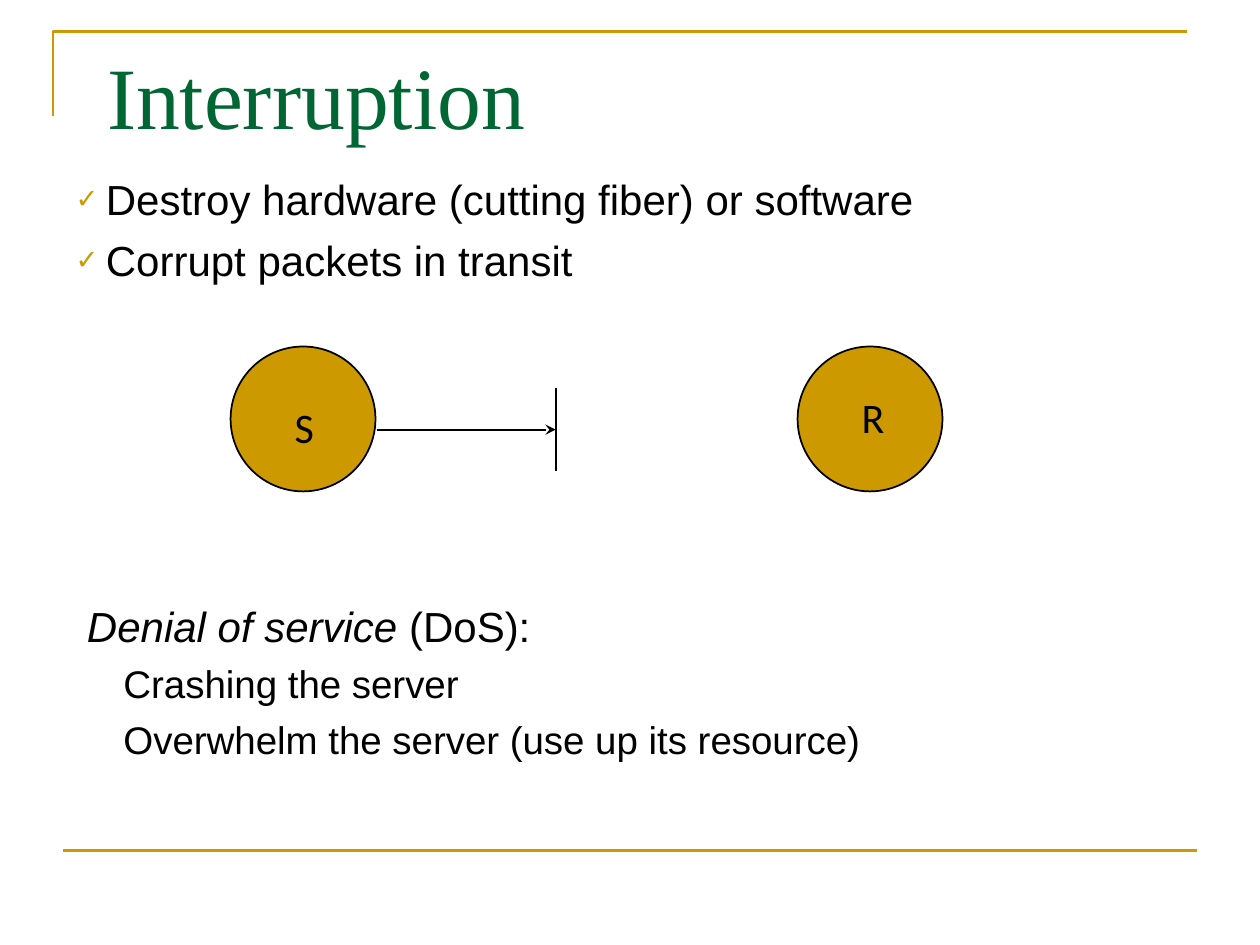
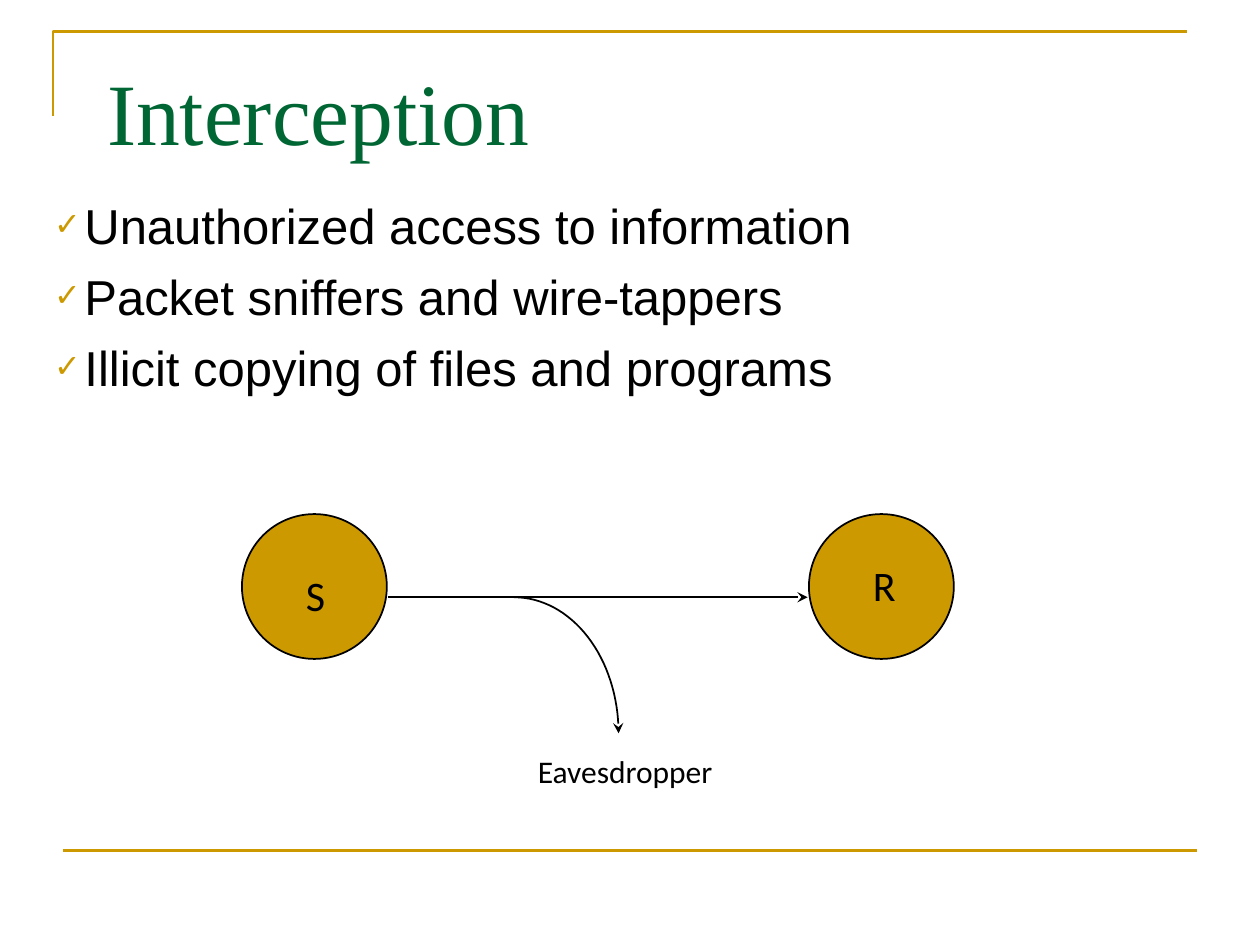
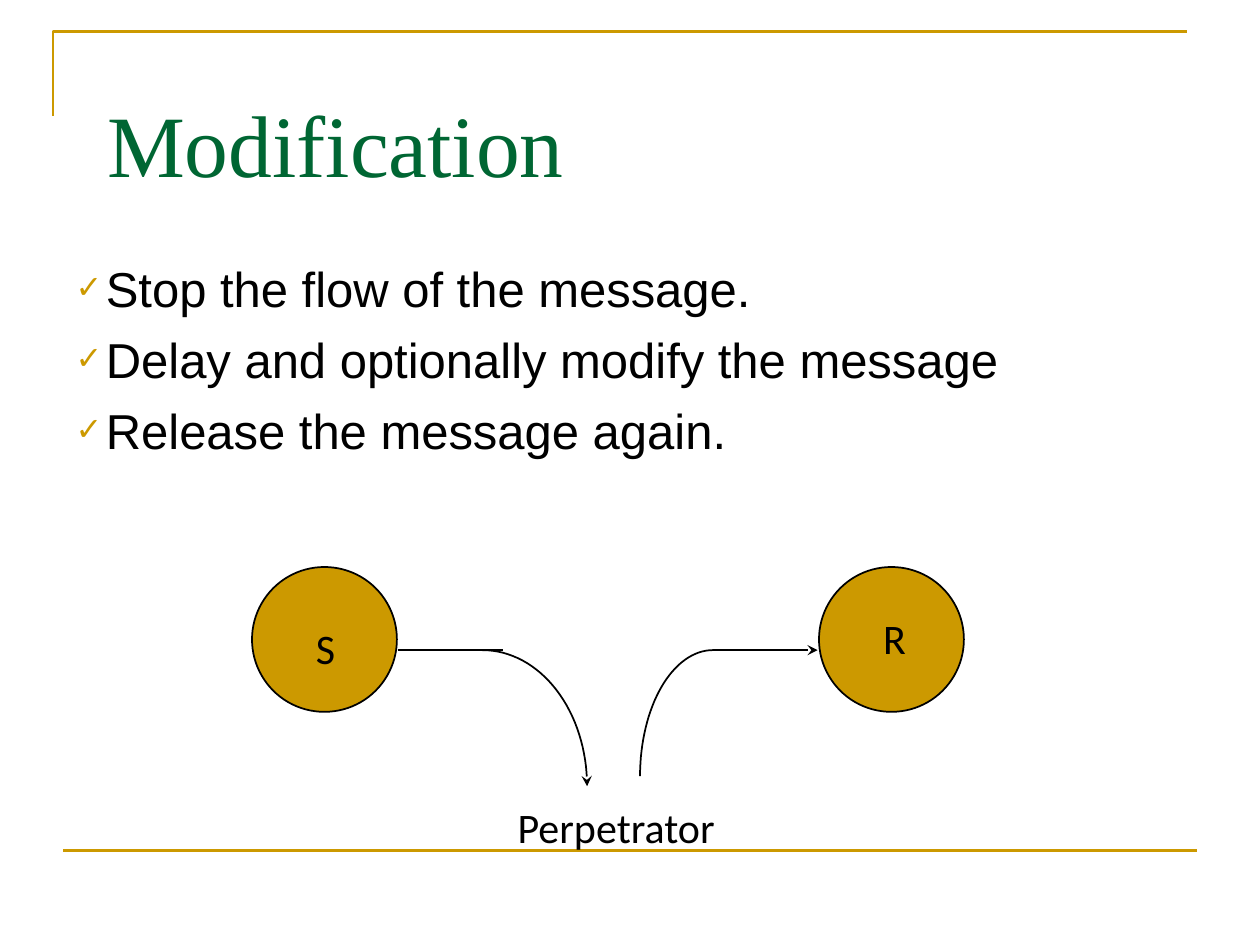
import math
from dataclasses import dataclass
from lxml import etree
from pptx import Presentation
from pptx import util as u
from pptx.dml import color
from pptx.enum import shapes, text
from pptx.oxml import ns


@dataclass(frozen=True)
class Theme:
    gold: str = "CC9900"
    green: str = "006633"
    black: str = "000000"
    title_font: str = "Times New Roman"
    body_font: str = "Arial"
    label_font: str = "Calibri"
    title_size: float = 50
    large: float = 28
    medium: float = 24
    small: float = 22
    caption: float = 18
    frame_weight: float = 1.5
    diagram_weight: float = 1
    space_ratio: float = 0.25
    check_indent: float = 0.24


THEME = Theme()
CIRCLE = 1.15
RECEIVER_X = 4.5
FLOW_Y = 0.66
FLOW_START = 1.16
FLOW_END = 4.49


def rgb(value):
    return color.RGBColor.from_string(value)


def inches(*values):
    return [u.Inches(value) for value in values]


def apply(target, formats):
    for name, value in formats.items():
        setattr(target, name, value)


def style_font(font, family, size, ink, italic=False):
    apply(font, dict(name=family, size=u.Pt(size), italic=italic, bold=False))
    font.color.rgb = rgb(ink)


def style_line(item, ink=THEME.black, weight=THEME.diagram_weight, arrow=False):
    item.line.color.rgb = rgb(ink)
    item.line.width = u.Pt(weight)
    if arrow:
        etree.SubElement(item.get_or_add_ln(), ns.qn("a:tailEnd"), type="stealth")


def add_line(slide, start, end, **style):
    line = slide.shapes.add_connector(
        shapes.MSO_CONNECTOR.STRAIGHT, *inches(*start, *end))
    style_line(line, **style)
    etree.SubElement(line.element.spPr, ns.qn("a:effectLst"))
    return line


def add_path(slide, points, **style):
    start, *rest = [inches(*point) for point in points]
    builder = slide.shapes.build_freeform(*start)
    builder.add_line_segments(rest, close=False)
    path = builder.convert_to_shape()
    path.fill.background()
    path.shadow.inherit = False
    style_line(path, **style)
    return path


def add_quarter_curve(slide, center, radii, start_angle, steps=32, **style):
    angles = [math.radians(start_angle + 90 * step / steps) for step in range(steps + 1)]
    points = [(center[0] + radii[0] * math.cos(angle),
               center[1] + radii[1] * math.sin(angle)) for angle in angles]
    return add_path(slide, points, **style)


def add_frame(deck, slide):
    frame = dict(ink=THEME.gold, weight=THEME.frame_weight)
    corner = add_path(slide, [(0.42, 0.92), (0.42, 0.25), (9.42, 0.25)], **frame)
    footer_rule = add_line(slide, (0.5, 6.75), (9.5, 6.75), **frame)
    for part in (footer_rule, corner):
        deck.slide_master.shapes.element.insert(2, part.element)


def place(holder, box, anchor):
    apply(holder, dict(zip(("left", "top", "width", "height"), inches(*box))))
    apply(holder.text_frame, dict(
        word_wrap=True, auto_size=text.MSO_AUTO_SIZE.NONE, vertical_anchor=anchor))


def add_title(slide, heading, box):
    title = slide.shapes.title
    place(title, box, text.MSO_ANCHOR.MIDDLE)
    paragraph = title.text_frame.paragraphs[0]
    paragraph.alignment = text.PP_ALIGN.LEFT
    run = paragraph.add_run()
    run.text = heading
    style_font(run.font, THEME.title_font, THEME.title_size, THEME.green)


def set_bullet(paragraph, check, indent):
    props = paragraph._p.get_or_add_pPr()
    props.set("marL", str(u.Inches(indent)))
    props.set("indent", str(-u.Inches(indent) if check else 0))
    if not check:
        etree.SubElement(props, ns.qn("a:buNone"))
        return
    ink = etree.SubElement(props, ns.qn("a:buClr"))
    etree.SubElement(ink, ns.qn("a:srgbClr"), val=THEME.gold)
    etree.SubElement(props, ns.qn("a:buSzPct"), val="65000")
    etree.SubElement(props, ns.qn("a:buChar"), char="✓")


def add_item(body, first, runs, size, check=True, indent=THEME.check_indent, gap=None):
    frame = body.text_frame
    paragraph = frame.paragraphs[0] if first else frame.add_paragraph()
    set_bullet(paragraph, check, indent)
    space = size * THEME.space_ratio if gap is None else gap
    paragraph.space_before = u.Pt(0 if first else space)
    for wording, italic in runs:
        run = paragraph.add_run()
        run.text = wording
        style_font(run.font, THEME.body_font, size, THEME.black, italic)


def add_points(slide, box, points, size):
    body = slide.placeholders[1]
    place(body, box, text.MSO_ANCHOR.TOP)
    for index, point in enumerate(points):
        add_item(body, index == 0, [(point, False)], size)
    return body


def add_label(slide, wording, box, size=THEME.medium):
    label = slide.shapes.add_textbox(*inches(*box))
    apply(label.text_frame, dict(
        word_wrap=False, auto_size=text.MSO_AUTO_SIZE.SHAPE_TO_FIT_TEXT))
    run = label.text_frame.paragraphs[0].add_run()
    run.text = wording
    style_font(run.font, THEME.label_font, size, THEME.black)


def add_parties(slide, left, top):
    for offset in (0, RECEIVER_X):
        party = slide.shapes.add_shape(
            shapes.MSO_SHAPE.OVAL, *inches(left + offset, top, CIRCLE, CIRCLE))
        party.fill.solid()
        party.fill.fore_color.rgb = rgb(THEME.gold)
        party.shadow.inherit = False
        style_line(party)
    add_label(slide, "S", (left + 0.41, top + 0.39, 0.36, 0.5))
    add_label(slide, "R", (left + 4.91, top + 0.31, 0.38, 0.5))


def add_flow(slide, left, top, start, end, arrow=True):
    y = top + FLOW_Y
    add_line(slide, (left + start, y), (left + end, y), arrow=arrow)


def add_diversion(slide, left, top, start):
    add_quarter_curve(slide, (left + start, top + FLOW_Y + 1.08), (0.83, 1.08),
                      270, arrow=True)


def add_blocked_flow(slide, left, top):
    barrier = 2.58
    add_parties(slide, left, top)
    add_flow(slide, left, top, FLOW_START, barrier)
    add_line(slide, (left + barrier, top + 0.33), (left + barrier, top + 0.99))


def add_tapped_flow(slide, left, top):
    add_parties(slide, left, top)
    add_flow(slide, left, top, FLOW_START, FLOW_END)
    add_diversion(slide, left, top, 2.16)
    add_label(slide, "Eavesdropper", (left + 2.25, top + 1.84, 1.6, 0.4), THEME.caption)


def add_rerouted_flow(slide, left, top):
    add_parties(slide, left, top)
    add_flow(slide, left, top, FLOW_START, 1.99, arrow=False)
    add_diversion(slide, left, top, 1.83)
    add_label(slide, "Perpetrator", (left + 2.01, top + 1.81, 1.79, 0.5))
    add_flow(slide, left, top, 3.66, FLOW_END)
    add_quarter_curve(slide, (left + 3.66, top + FLOW_Y + 1), (0.58, 1), 180)


def add_interruption(slide):
    add_title(slide, "Interruption", (0.75, 0.25, 8.5, 1))
    body = add_points(slide, (0.5, 1.33, 8.83, 4.83), [
        "Destroy hardware (cutting fiber) or software",
        "Corrupt packets in transit"], THEME.medium)
    add_item(body, False, [("Denial of service", True), (" (DoS):", False)],
             THEME.medium, check=False, indent=0.09, gap=180)
    for attack in ("Crashing the server", "Overwhelm the server (use up its resource)"):
        add_item(body, False, [(attack, False)], THEME.small, check=False, indent=0.38)
    add_blocked_flow(slide, 1.83, 2.75)


def add_interception(slide):
    add_title(slide, "Interception", (0.75, 0.34, 8.5, 1.08))
    add_points(slide, (0.33, 1.5, 8.42, 2), [
        "Unauthorized access to information",
        "Packet sniffers and wire-tappers",
        "Illicit copying of files and programs"], THEME.large)
    add_tapped_flow(slide, 1.92, 4.08)


def add_modification(slide):
    add_title(slide, "Modification", (0.75, 0.33, 8.5, 1.61))
    add_points(slide, (0.5, 2, 8, 2), [
        "Stop the flow of the message.",
        "Delay and optionally modify the message",
        "Release the message again."], THEME.large)
    add_rerouted_flow(slide, 2, 4.5)


def main():
    deck = Presentation()
    deck.slide_width, deck.slide_height = inches(10, 7.5)
    attacks = (add_interruption, add_interception, add_modification)
    for index, add_attack in enumerate(attacks):
        slide = deck.slides.add_slide(deck.slide_layouts[1])
        if index == 0:
            add_frame(deck, slide)
        add_attack(slide)
    deck.save("out.pptx")


if __name__ == "__main__":
    main()
